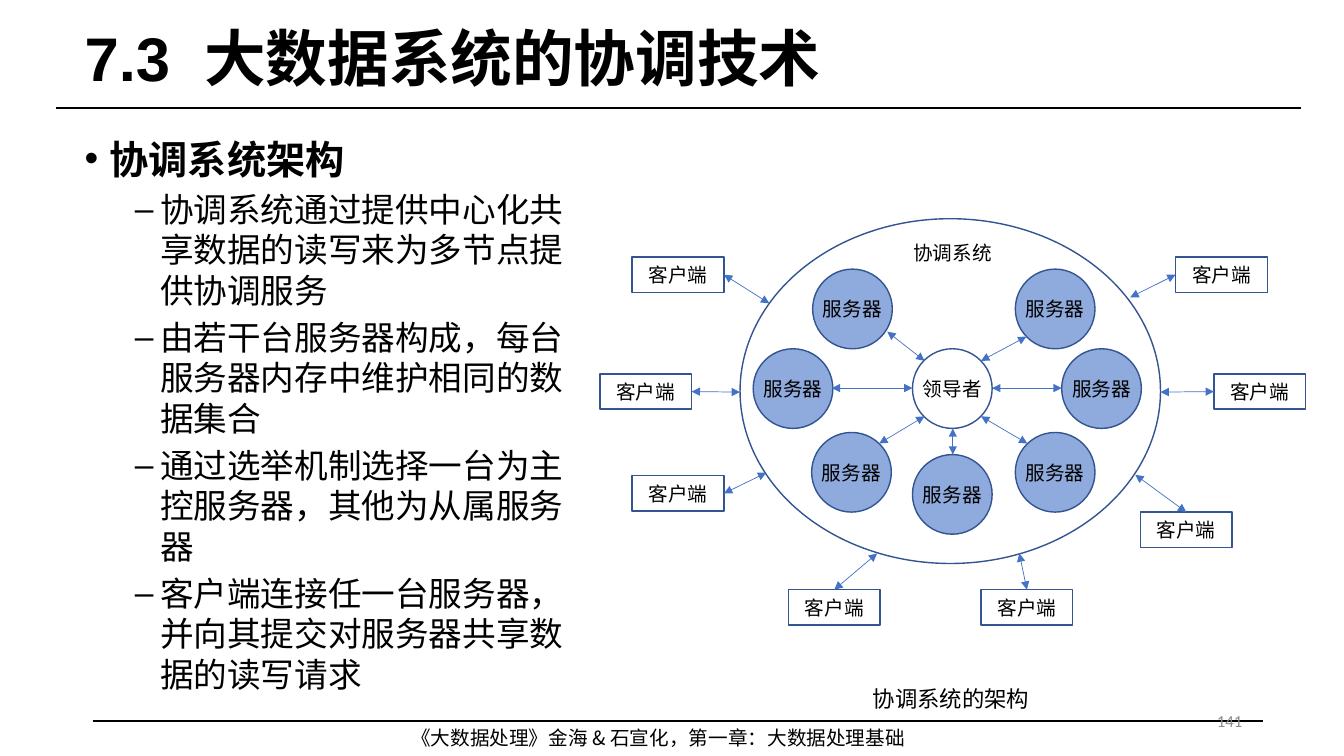
"""Build the slide on coordination technology for big data systems."""
from typing import NamedTuple, Optional

from pptx import Presentation
from pptx.dml.color import RGBColor
from pptx.enum.shapes import MSO_CONNECTOR, MSO_SHAPE
from pptx.enum.text import MSO_ANCHOR, PP_ALIGN
from pptx.oxml.xmlchemy import OxmlElement
from pptx.util import Inches, Pt

CJK = "Noto Sans CJK SC"
BLACK, WHITE, GREY = "000000", "FFFFFF", "8C8C8C"
OUTLINE, ARROW, SERVER = "325491", "4472C4", "8FAADC"
DIAMETER = 0.79
CLIENT_W, CLIENT_H = 0.91, 0.35
TOP, LEFT, BOTTOM, RIGHT = range(4)


class Node(NamedTuple):
    x: float
    y: float
    text: str = "服务器"
    fill: Optional[str] = SERVER
    w: float = DIAMETER
    h: float = DIAMETER


class Line(NamedTuple):
    x1: float
    y1: float
    x2: float
    y2: float


class Client(NamedTuple):
    x: float
    y: float
    side: int
    rim_x: float
    rim_y: float


NODES = [
    Node(8.06, 2.67), Node(7.47, 3.46), Node(8.05, 4.29), Node(9.05, 4.51),
    Node(10.07, 4.29), Node(10.53, 3.46), Node(10.07, 2.67),
    Node(9.05, 3.46, "领导者", WHITE), Node(7.34, 2.17, "", None, 4.17, 3.42),
]
LEADER_LINKS = [
    Line(9.17, 3.58, 8.8, 3.29), Line(9.05, 3.85, 8.25, 3.85),
    Line(9.17, 4.13, 8.72, 4.4), Line(9.73, 3.58, 10.18, 3.34),
    Line(9.84, 3.85, 10.53, 3.85), Line(9.73, 4.13, 10.19, 4.4),
    Line(9.45, 4.25, 9.45, 4.51),
]
CLIENTS = [
    Client(6.27, 2.55, RIGHT, 7.63, 3.01), Client(5.95, 3.71, RIGHT, 7.34, 3.89),
    Client(6.27, 4.72, RIGHT, 7.6, 4.69), Client(7.82, 5.85, TOP, 8.7, 5.49),
    Client(9.73, 5.85, TOP, 10.11, 5.49), Client(11.31, 5.08, TOP, 11.26, 4.71),
    Client(12.04, 3.71, LEFT, 11.51, 3.89), Client(11.66, 2.55, LEFT, 11.21, 2.95),
]
POINTS = [
    "协调系统通过提供中心化共享数据的读写来为多节点提供协调服务",
    "由若干台服务器构成，每台服务器内存中维护相同的数据集合",
    "通过选举机制选择一台为主控服务器，其他为从属服务器",
    "客户端连接任一台服务器，并向其提交对服务器共享数据的读写请求",
]


def rgb(value: str) -> RGBColor:
    return RGBColor.from_string(value)


def add_run(p, text: str, *, size=14, font=CJK, color=BLACK, bold=False, spacing=0):
    r = p.add_run()
    r.text = text
    r.font.size, r.font.name, r.font.bold = Pt(size), font, bold
    r.font.color.rgb = rgb(color)
    ea = OxmlElement("a:ea")
    ea.set("typeface", CJK)
    r.font._element.append(ea)
    if spacing:
        r.font._element.set("spc", str(spacing * 100))


def add_box(shapes, x: float, y: float, w: float, h: float, text="", *,
            align=PP_ALIGN.LEFT, anchor=MSO_ANCHOR.TOP, wrap=True, **fmt):
    sp = shapes.add_textbox(Inches(x), Inches(y), Inches(w), Inches(h))
    tf = sp.text_frame
    tf.word_wrap, tf.vertical_anchor = wrap, anchor
    p = tf.paragraphs[0]
    p.alignment = align
    if text:
        add_run(p, text, **fmt)
    return tf


def add_bullet(p, text: str, char: str, indent: float, size: int, *,
               line: float, before=0, bold=False) -> None:
    pPr = p._p.get_or_add_pPr()
    pPr.set("marL", str(Inches(indent)))
    pPr.set("indent", str(-Inches(0.25)))
    p.line_spacing = Pt(line)
    if before:
        p.space_before = Pt(before)
    bu_font = OxmlElement("a:buFont")
    bu_font.set("typeface", "Arial")
    bu = OxmlElement("a:buChar")
    bu.set("char", char)
    pPr.extend([bu_font, bu])
    add_run(p, text, size=size, font="Calibri", bold=bold)


def add_node(shapes, kind, node: Node):
    sp = shapes.add_shape(kind, Inches(node.x), Inches(node.y), Inches(node.w), Inches(node.h))
    sp.shadow.inherit = False
    sp.line.color.rgb, sp.line.width = rgb(OUTLINE), Pt(1)
    if node.fill:
        sp.fill.solid()
        sp.fill.fore_color.rgb = rgb(node.fill)
    else:
        sp.fill.background()
    if node.text:
        tf = sp.text_frame
        tf.margin_left = tf.margin_right = tf.margin_top = tf.margin_bottom = 0
        tf.word_wrap, tf.vertical_anchor = False, MSO_ANCHOR.MIDDLE
        tf.paragraphs[0].alignment = PP_ALIGN.CENTER
        add_run(tf.paragraphs[0], node.text)
    return sp


def add_line(shapes, line: Line, color=ARROW, width=0.5, arrows=True):
    cx = shapes.add_connector(MSO_CONNECTOR.STRAIGHT, *map(Inches, line))
    cx.line.color.rgb, cx.line.width = rgb(color), Pt(width)
    if arrows:
        ln = cx.line._get_or_add_ln()
        for tag in ("a:headEnd", "a:tailEnd"):
            end = OxmlElement(tag)
            end.set("type", "triangle")
            ln.append(end)
    cx._element.spPr.append(OxmlElement("a:effectLst"))
    return cx


def add_text(shapes) -> None:
    add_line(shapes, Line(0.56, 1.07, 12.9, 1.07), BLACK, 1.75, False)
    add_line(shapes, Line(0.92, 7.15, 12.53, 7.15), BLACK, 1.25, False)
    add_box(shapes, 3.98, 7.15, 5.37, 0.34, "《大数据处理》金海 & 石宣化，第一章：大数据处理基础")

    tf = add_box(shapes, 0.74, 0.15, 11.95, 0.92, anchor=MSO_ANCHOR.MIDDLE)
    p = tf.paragraphs[0]
    p.line_spacing = 0.9
    for text, spacing in (("7.3", 0), (" ", 12), ("大数据系统的协调技术", 0)):
        add_run(p, text, size=44, font="Arial", bold=True, spacing=spacing)

    tf = add_box(shapes, 0.74, 1.27, 4.97, 5.86)
    add_bullet(tf.paragraphs[0], "协调系统架构", "•", 0.25, 28, line=35, bold=True)
    for point in POINTS:
        add_bullet(tf.add_paragraph(), point, "–", 0.75, 24, line=28.8, before=5)

    add_box(shapes, 8.56, 6.75, 1.77, 0.37, "协调系统的架构", size=16, wrap=False)


def add_architecture(shapes) -> None:
    for node in NODES:
        add_node(shapes, MSO_SHAPE.OVAL, node)
    add_box(shapes, 8.96, 2.34, 0.98, 0.34, "协调系统", wrap=False)
    for link in LEADER_LINKS:
        add_line(shapes, link)
    for c in CLIENTS:
        sp = add_node(shapes, MSO_SHAPE.RECTANGLE,
                      Node(c.x, c.y, "客户端", None, CLIENT_W, CLIENT_H))
        cx = add_line(shapes, Line(c.x, c.y, c.rim_x, c.rim_y))
        cx.begin_connect(sp, c.side)


def main() -> None:
    prs = Presentation()
    prs.slide_width, prs.slide_height = Inches(13.33), Inches(7.5)
    s = prs.slides.add_slide(prs.slide_layouts[6])
    add_text(s.shapes)
    add_architecture(s.shapes)
    add_box(s.shapes, 9.42, 6.95, 3, 0.4, "141", size=12, font="Calibri", color=GREY,
            align=PP_ALIGN.RIGHT, anchor=MSO_ANCHOR.MIDDLE)
    prs.save("out.pptx")


if __name__ == "__main__":
    main()
